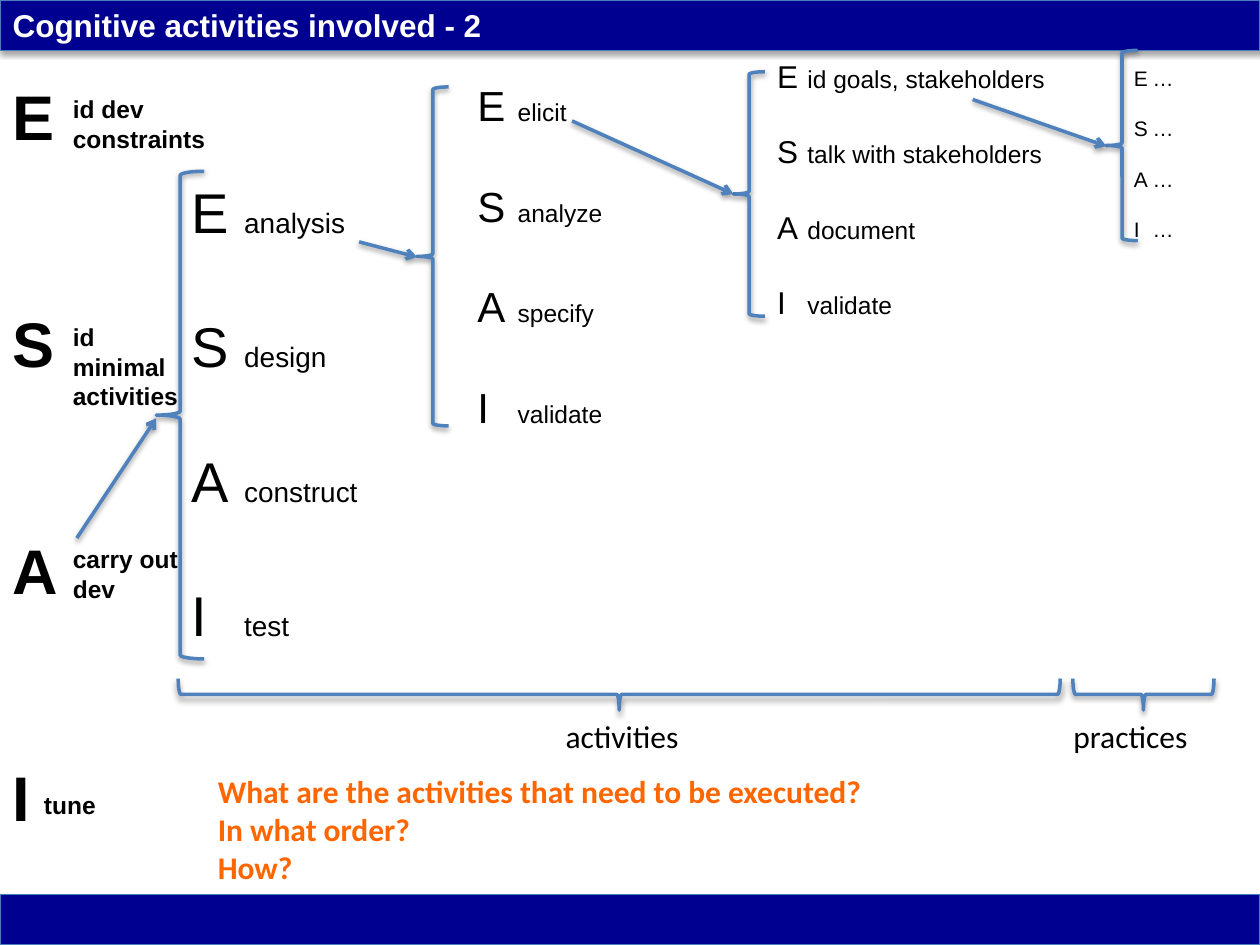
import pptx
import pptx.util
from lxml import etree
from pptx.dml.color import RGBColor
from pptx.enum.shapes import MSO_CONNECTOR, MSO_SHAPE
from pptx.enum.text import MSO_ANCHOR, PP_ALIGN
from pptx.oxml.ns import qn

COLORS = {
    "bar": "000090",
    "edge": "4B7EBC",
    "line": "4F81BD",
    "text": "000000",
    "title": "FFFFFF",
    "ask": "FF6600",
}
COLS, ROWS = 100, 75
LEAD = 1.2  # line height as a share of the type size


class Deck:
    """Holds the style and the current slide; lengths are grid columns and rows."""

    def __init__(self):
        self.prs = pptx.Presentation()
        self.prs.slide_width = pptx.util.Inches(10)
        self.prs.slide_height = pptx.util.Inches(7.5)
        self.slide = self.prs.slides.add_slide(self.prs.slide_layouts[5])
        self.shapes = self.slide.shapes

    def grid(self, *box):
        """Turn x, y pairs of grid units into lengths."""
        units = (self.prs.slide_width / COLS, self.prs.slide_height / ROWS)
        return [pptx.util.Emu(round(n * units[i % 2])) for i, n in enumerate(box)]

    def color(self, name):
        return RGBColor.from_string(COLORS[name])

    def font(self, para, size, bold=False, color="text", face="Arial"):
        font = para.font
        font.name, font.size, font.bold = face, pptx.util.Pt(size), bold
        font.color.rgb = self.color(color)

    def stroke(self, shape, color="line", width=2):
        shape.line.color.rgb = self.color(color)
        shape.line.width = pptx.util.Pt(width)

    def bar(self, top):
        """Full-width band that keeps the theme's soft shadow."""
        shape = self.shapes.add_shape(MSO_SHAPE.RECTANGLE, *self.grid(0, top, COLS, 4))
        shape.fill.solid()
        shape.fill.fore_color.rgb = self.color("bar")
        self.stroke(shape, "edge", 0.75)

    def title(self, text):
        shape = self.shapes.title
        shape.left, shape.top, shape.width, shape.height = self.grid(0, 0, COLS, 4)
        shape.text_frame.text = text
        shape.text_frame.vertical_anchor = MSO_ANCHOR.MIDDLE
        para = shape.text_frame.paragraphs[0]
        para.alignment = PP_ALIGN.LEFT
        self.font(para, 18, True, "title")
        self.shapes._spTree.append(shape._element)  # in front of the bars

    def frame(self, box):
        frame = self.shapes.add_textbox(*self.grid(*box)).text_frame
        frame.word_wrap = True
        return frame

    def text(self, box, text, size, **look):
        frame = self.frame(box)
        frame.text = text
        for para in frame.paragraphs:
            self.font(para, size, **look)

    def steps(self, box, words, size, small=None, tab=0, gap=1, bold=False):
        """List E, S, A, I with a word at the tab stop and gap lines between."""
        frame = self.frame(box)
        for i, (mark, word) in enumerate(zip("ESAI", words)):
            para = frame.add_paragraph() if i else frame.paragraphs[0]
            self.font(para, size, bold)
            para.add_run().text = mark
            if i < 3:
                para.space_after = pptx.util.Pt(size * LEAD * gap)
            if word:
                run = para.add_run()
                run.text = "\t" + word
                run.font.size = pptx.util.Pt(small)
                self.stop(para, tab)

    def stop(self, para, tab):
        stops = etree.Element(qn("a:tabLst"))
        etree.SubElement(stops, qn("a:tab"), pos=str(self.grid(tab)[0]), algn="l")
        para._p.pPr.find(qn("a:defRPr")).addprevious(stops)

    def brace(self, box, turn=0):
        shape = self.shapes.add_shape(MSO_SHAPE.LEFT_BRACE, *self.grid(*box))
        shape.rotation = turn
        shape.fill.background()
        self.stroke(shape)
        shape._element.find(".//" + qn("a:effectRef")).set("idx", "1")

    def arrow(self, *ends):
        line = self.shapes.add_connector(MSO_CONNECTOR.STRAIGHT, *self.grid(*ends))
        self.stroke(line)
        etree.SubElement(line.line._get_or_add_ln(), qn("a:tailEnd"), type="arrow")


def main():
    deck = Deck()
    for top in (71, 0):
        deck.bar(top)
    deck.title("Cognitive activities involved - 2")

    # Each level: list box, words, letter size, word size, tab, brace, arrow
    levels = [
        ((14.2, 13.6, 16.4, 38.7), ("analysis", "design", "construct", "test"),
         32, 16, 4.2, (12.4, 13.6, 3.8, 38.7), (6.1, 42.7, 12.4, 33.2)),
        ((36.9, 5.8, 16.4, 29.3), ("elicit", "analyze", "specify", "validate"),
         24, 14, 3.2, (33.1, 6.9, 2.5, 26.9), (28.5, 19.2, 33.1, 20.4)),
        ((60.7, 4, 26, 22.2), ("id goals, stakeholders", "talk with stakeholders",
                               "document", "validate"),
         18, 14, 2.4, (58.2, 5.7, 2.5, 19.4), (45.4, 9.6, 58.2, 15.4)),
        ((89, 4.7, 10, 15.1), "…" * 4,
         12, 12, 1.5, (87.8, 4, 2.5, 15.1), (77.2, 7.9, 87.8, 11.6)),
    ]
    for box, words, size, small, tab, brace, arrow in levels:
        deck.steps(box, words, size, small, tab)
        deck.brace(brace)
        deck.arrow(*arrow)

    deck.steps((0, 5.7, 26.9, 61.6), [""] * 4, 36, gap=2, bold=True)
    for box, text in [
        ((4.8, 7, 13.6, 5.7), "id dev constraints"),
        ((4.8, 25.1, 10.5, 8.1), "id minimal activities"),
        ((4.8, 42.7, 11.6, 5.8), "carry out dev"),
        ((2.5, 62.2, 9.8, 3.4), "tune"),
    ]:
        deck.text(box, text, 14, bold=True)

    for left, text, brace in [
        (43.9, "activities", (47.9, 20.1, 2.5, 70)),
        (84.2, "practices", (89.5, 49.5, 2.5, 11.2)),
    ]:
        deck.text((left, 56.4, 12.2, 4), text, 18, face="Calibri")
        deck.brace(brace, 270)

    deck.text((16.3, 60.8, 78.1, 10.1),
              "What are the activities that need to be executed?\nIn what order?\nHow?",
              18, bold=True, color="ask", face="Calibri")
    deck.prs.save("out.pptx")


if __name__ == "__main__":
    main()
